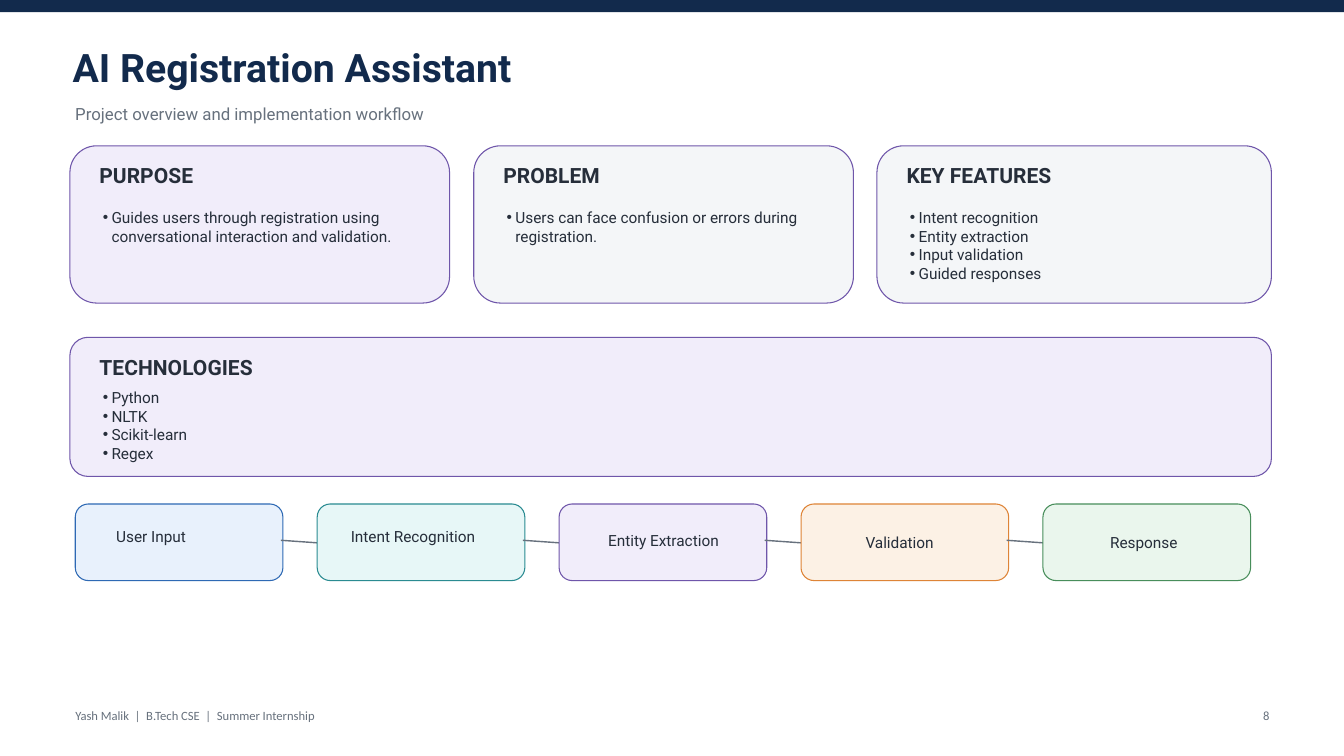
from lxml import etree
from pptx import Presentation
from pptx.dml.color import RGBColor
from pptx.enum.shapes import MSO_CONNECTOR, MSO_SHAPE
from pptx.enum.text import MSO_ANCHOR, MSO_AUTO_SIZE, PP_ALIGN
from pptx.oxml.ns import qn
from pptx.util import Inches, Pt

LEFT, RIGHT = PP_ALIGN.LEFT, PP_ALIGN.RIGHT
TOP, FIXED = MSO_ANCHOR.TOP, MSO_AUTO_SIZE.NONE
RECT, ROUND = MSO_SHAPE.RECTANGLE, MSO_SHAPE.ROUNDED_RECTANGLE
STRAIGHT = MSO_CONNECTOR.STRAIGHT

HEX = {
    "navy": "122A4C", "gray": "67717D", "ink": "262E3A", "white": "FFFFFF",
    "mist": "F4F6F8", "lilac": "F1EDFA", "purple": "6F56AA",
    "sky": "E8F1FC", "blue": "2E69B4", "aqua": "E7F7F7", "teal": "2A8B91",
    "cream": "FCF1E5", "orange": "DE8437", "mint": "EAF6ED", "green": "488E5B",
}

TITLE = "AI Registration Assistant"
SUB = "Project overview and implementation workflow"
FOOT = "Yash Malik  |  B.Tech CSE  |  Summer Internship"
PAGE = "8"

CARDS = [
    ("PURPOSE", "lilac", (1.04, 2.17, 5.65, 2.34), 0.17, 0.93,
     ["Guides users through registration using conversational interaction and validation."]),
    ("PROBLEM", "mist", (7.05, 2.17, 5.65, 2.34), 0.17, 0.93,
     ["Users can face confusion or errors during registration."]),
    ("KEY FEATURES", "mist", (13.05, 2.17, 5.87, 2.34), 0.17, 0.93,
     ["Intent recognition", "Entity extraction", "Input validation", "Guided responses"]),
    ("TECHNOLOGIES", "lilac", (1.04, 5.02, 17.88, 2.07), 0.13, 0.76,
     ["Python", "NLTK", "Scikit-learn", "Regex"]),
]

STEPS = [
    ("User Input", "sky", "blue", 1.73, 7.85),
    ("Intent Recognition", "aqua", "teal", 5.22, 7.85),
    ("Entity Extraction", "lilac", "purple", 9.05, 7.91),
    ("Validation", "cream", "orange", 12.88, 7.93),
    ("Response", "mint", "green", 16.52, 7.93),
]
STEP_X, STEP_Y, STEP_W, STEP_H, PITCH = 1.12, 7.5, 3.09, 1.14, 3.6


def color(name):
    return RGBColor.from_string(HEX[name])


def place(shape, box):
    shape.left, shape.top, shape.width, shape.height = map(Inches, box)


def write(shape, box, lines, size, ink, face="Roboto", bold=False, align=LEFT, dots=False):
    place(shape, box)
    frame = shape.text_frame
    frame.text = "\n".join(lines)
    frame.word_wrap = True
    frame.auto_size = FIXED
    frame.vertical_anchor = TOP
    frame.margin_left = frame.margin_right = frame.margin_top = frame.margin_bottom = 0
    for para in frame.paragraphs:
        if dots:
            props = para._p.get_or_add_pPr()
            props.set("marL", str(Inches(0.13)))
            props.set("indent", str(-Inches(0.13)))
            etree.SubElement(props, qn("a:buChar")).set("char", "•")
        para.alignment = align
        para.line_spacing = Pt(size * 1.2)
        para.space_before = Pt(0)
        for run in para.runs:
            font = run.font
            font.name, font.size, font.bold = face, Pt(size), bold
            font.color.rgb = color(ink)


def label(box, text, size, ink, **style):
    write(slide.shapes.add_textbox(0, 0, 0, 0), box, [text], size, ink, **style)


def panel(kind, box, fill, line=None, curve=None):
    shape = slide.shapes.add_shape(kind, *map(Inches, box))
    shape.shadow.inherit = False
    shape.fill.solid()
    shape.fill.fore_color.rgb = color(fill)
    if line:
        shape.line.color.rgb = color(line)
        shape.line.width = Pt(1.13)
        shape.adjustments[0] = curve
    else:
        shape.line.fill.background()


def link(x):
    ends = (x - 0.03, 8.04, x + PITCH - STEP_W + 0.03, 8.08)
    line = slide.shapes.add_connector(STRAIGHT, *map(Inches, ends))
    line.line.color.rgb = color("gray")
    line.line.width = Pt(1.5)
    etree.SubElement(line._element.spPr, qn("a:effectLst"))


deck = Presentation()
deck.slide_width, deck.slide_height = Inches(20), Inches(11.25)
slide = deck.slides.add_slide(deck.slide_layouts[4])
slide.background.fill.solid()
slide.background.fill.fore_color.rgb = color("white")
title, *bodies = slide.placeholders

panel(RECT, (0, 0, 20, 0.18), "navy")
write(title, (1.08, 0.65, 17.06, 0.8), [TITLE], 42, "navy", bold=True)
label((1.12, 1.55, 17.06, 0.43), SUB, 18, "gray")
label((1.12, 10.53, 10.31, 0.31), FOOT, 13.5, "gray", face="Calibri")
label((18.49, 10.53, 0.4, 0.31), PAGE, 13.5, "gray", face="Calibri", align=RIGHT)

for body, (head, fill, box, curve, drop, items) in zip(bodies, CARDS):
    x, y, w, h = box
    panel(ROUND, box, fill, "purple", curve)
    label((x + 0.44, y + 0.25, w - 0.82, 0.5), head, 22.5, "ink", bold=True)
    slide.shapes._spTree.append(body._element)
    write(body, (x + 0.49, y + drop, w - 0.9, 1.18), items, 16.5, "ink", dots=True)

for i, (text, fill, line, left, top) in enumerate(STEPS):
    x = STEP_X + i * PITCH
    panel(ROUND, (x, STEP_Y, STEP_W, STEP_H), fill, line, 0.17)
    label((left, top, 2.17, 0.27), text, 16.5, "ink")
    if i < len(STEPS) - 1:
        link(x + STEP_W)

deck.save("out.pptx")
